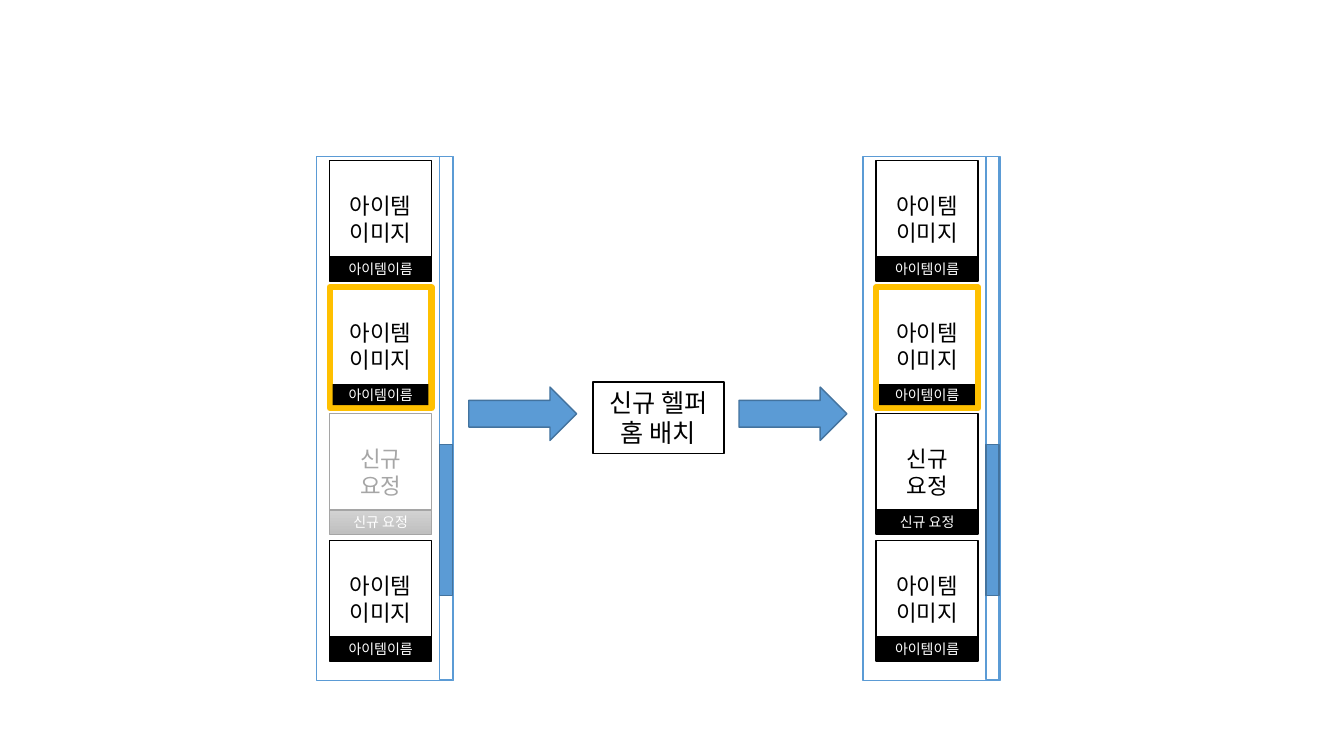
from lxml.etree import SubElement
from pptx import Presentation
from pptx.dml.color import RGBColor
from pptx.enum.shapes import MSO_SHAPE
from pptx.enum.text import MSO_ANCHOR, MSO_AUTO_SIZE, PP_ALIGN
from pptx.oxml.ns import qn
from pptx.util import Inches, Pt

FONT = "Noto Sans CJK KR"
BLACK = RGBColor(0x00, 0x00, 0x00)
WHITE = RGBColor(0xFF, 0xFF, 0xFF)
BLUE = RGBColor(0x5B, 0x9B, 0xD5)
DARK_BLUE = RGBColor(0x43, 0x73, 0x9E)
GOLD = RGBColor(0xFF, 0xC0, 0x00)
GRAY = RGBColor(0xA5, 0xA5, 0xA5)
GRAY_TEXT = RGBColor(0xA6, 0xA6, 0xA6)
LIGHT_GRAY = RGBColor(0xD2, 0xD2, 0xD2)
MID_GRAY = RGBColor(0xC0, 0xC0, 0xC0)

ITEM = ("아이템 이미지", "아이템이름")
NEW_FAIRY = ("신규\n요정", "신규 요정")
CARD_WIDTH, IMAGE_HEIGHT = 1.01, 0.96


class HelperSlide:
    def __init__(self, deck):
        self.page = deck.slides.add_slide(deck.slide_layouts[6])

    def box(self, left, top, width, height, fill=WHITE, line=None,
            weight=1, kind=MSO_SHAPE.RECTANGLE):
        shape = self.page.shapes.add_shape(
            kind, Inches(left), Inches(top), Inches(width), Inches(height))
        shape.shadow.inherit = False
        shape.fill.solid()
        shape.fill.fore_color.rgb = fill
        if line is None:
            shape.line.fill.background()
        else:
            shape.line.color.rgb = line
            shape.line.width = Pt(weight)
        return shape

    def set_text(self, shape, text, size, color, anchor=MSO_ANCHOR.TOP):
        frame = shape.text_frame
        frame.text = text
        frame.word_wrap = True
        frame.vertical_anchor = anchor
        for para in frame.paragraphs:
            para.alignment = PP_ALIGN.CENTER
            for span in para.runs:
                span.font.size = Pt(size)
                span.font.color.rgb = color
                span.font.name = FONT
                SubElement(span.font._element, qn("a:ea"), typeface=FONT)

    def image(self, left, top, height, text, color, line, weight=1):
        shape = self.box(left, top, CARD_WIDTH, height, WHITE, line, weight)
        self.set_text(shape, text, 16, color)
        shape.text_frame.margin_top = Inches(0.32)

    def label(self, left, top, width, height, text, line=None, weight=1):
        shape = self.box(left, top, width, height, BLACK, line, weight)
        self.set_text(shape, text, 10, WHITE, MSO_ANCHOR.MIDDLE)
        return shape

    def card(self, left, top, texts):
        self.image(left, top, IMAGE_HEIGHT, texts[0], BLACK, BLACK)
        self.label(left, top + IMAGE_HEIGHT, CARD_WIDTH, 0.24, texts[1], BLACK)

    def selected_card(self, left, top, texts):
        self.image(left, top, 1.2, texts[0], BLACK, GOLD, 4.5)
        self.label(left + 0.03, top + IMAGE_HEIGHT, 0.95, 0.21, texts[1])

    def disabled_card(self, left, top, texts):
        self.image(left, top, IMAGE_HEIGHT, texts[0], GRAY_TEXT, GRAY)
        label = self.label(left, top + IMAGE_HEIGHT, CARD_WIDTH, 0.24,
                           texts[1], GRAY, 0.5)
        label.fill.gradient()
        label.fill.gradient_angle = 270
        for stop, color in zip(label.fill.gradient_stops, (LIGHT_GRAY, MID_GRAY)):
            stop.color.rgb = color

    def item_list(self, left, fairy_card):
        """Scrolling list of four cards; fairy_card draws the third one."""
        self.box(left, 1.55, 1.36, 5.2, WHITE, BLUE)
        self.box(left + 1.22, 1.55, 0.13, 5.19, WHITE, BLUE)
        self.box(left + 1.22, 4.41, 0.13, 1.5, BLUE, DARK_BLUE)
        card_left = left + 0.13
        self.card(card_left, 1.59, ITEM)
        self.selected_card(card_left, 2.85, ITEM)
        fairy_card(card_left, 4.1, NEW_FAIRY)
        self.card(card_left, 5.36, ITEM)

    def step(self, left, top, width, height, text):
        shape = self.box(left, top, width, height, WHITE, BLACK)
        self.set_text(shape, text, 18, BLACK)
        shape.text_frame.word_wrap = False
        shape.text_frame.auto_size = MSO_AUTO_SIZE.SHAPE_TO_FIT_TEXT

    def arrow(self, left):
        self.box(left, 3.84, 1.07, 0.53, BLUE, DARK_BLUE,
                 kind=MSO_SHAPE.RIGHT_ARROW)


def main():
    deck = Presentation()
    deck.slide_width, deck.slide_height = Inches(13.33), Inches(7.5)
    slide = HelperSlide(deck)
    slide.item_list(8.56, slide.card)
    slide.step(5.88, 3.79, 1.3, 0.71, "신규 헬퍼\n홈 배치")
    slide.item_list(3.14, slide.disabled_card)
    for left in (4.65, 7.33):
        slide.arrow(left)
    deck.save("out.pptx")


if __name__ == "__main__":
    main()
